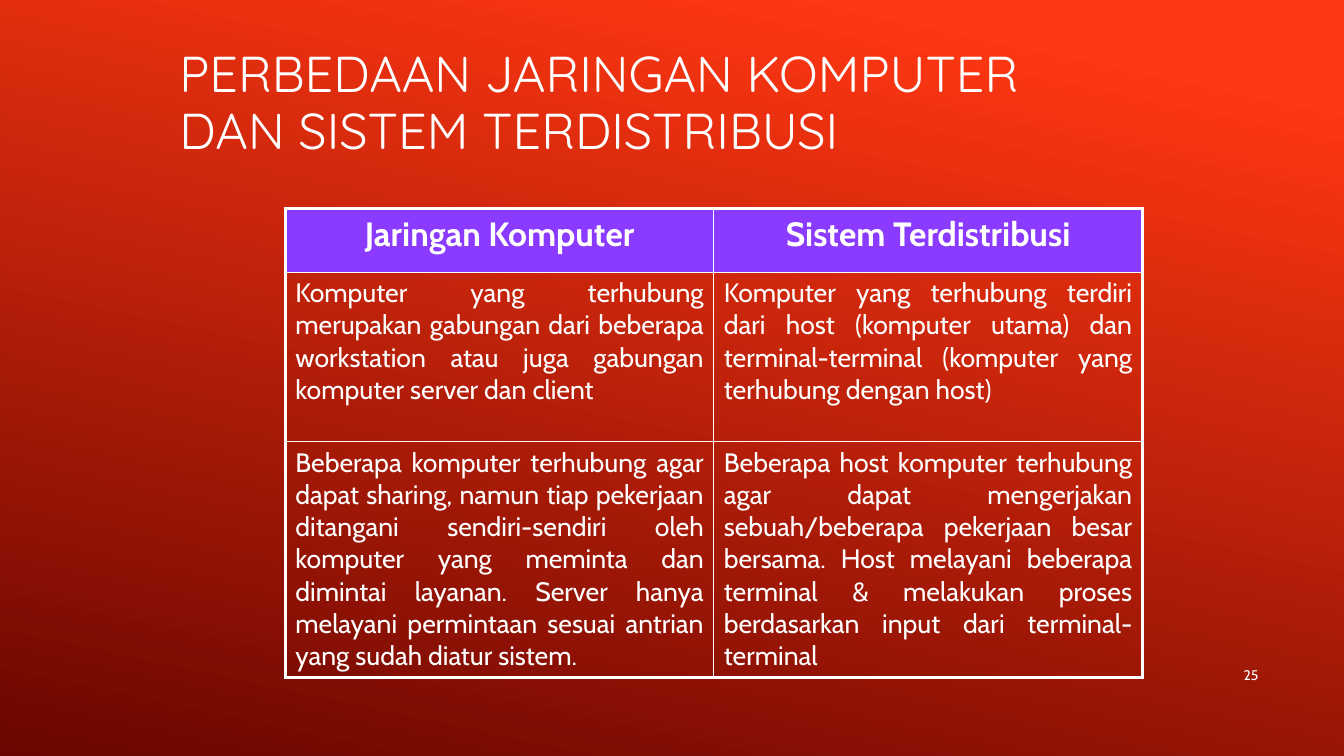
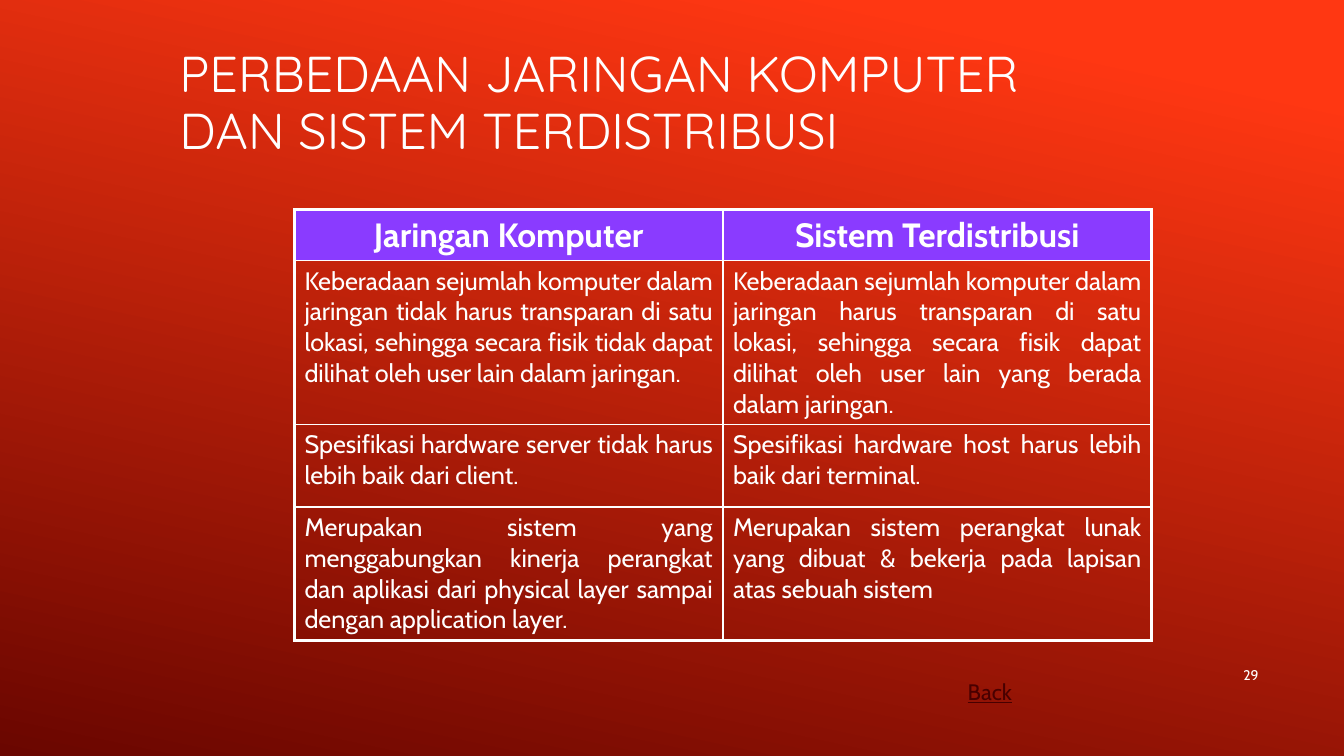
import pptx
import pptx.dml.color
import pptx.enum.text
import pptx.oxml.ns
import pptx.util
from lxml import etree

Inches, Pt = pptx.util.Inches, pptx.util.Pt
RGB = pptx.dml.color.RGBColor
ALIGN = pptx.enum.text.PP_ALIGN
ANCHOR = pptx.enum.text.MSO_ANCHOR
qn = pptx.oxml.ns.qn

WHITE = RGB(0xFF, 0xFF, 0xFF)
VIOLET = RGB(0x8A, 0x3B, 0xFF)
BRIGHT_RED = RGB(0xFF, 0x37, 0x12)
DARK_RED = RGB(0x6A, 0x06, 0x00)
LINK_RED = RGB(0x48, 0x00, 0x00)
TITLE_FONT, BODY_FONT = "Quicksand", "Cabin"
THICK, THIN = 2.25, 1

TITLE = ["PERBEDAAN JARINGAN KOMPUTER", "DAN SISTEM TERDISTRIBUSI"]
HEADINGS = ("Jaringan Komputer", "Sistem Terdistribusi")
COLUMN_WIDTH = 4.25

SLIDES = [
    {
        "number": "25", "at": (2.83, 2.07), "size": 19,
        "heights": (0.63, 1.68, 2.32), "thick_above": (),
        "rows": [
            ("Komputer yang terhubung merupakan gabungan dari beberapa "
             "workstation atau juga gabungan komputer server dan client",
             "Komputer yang terhubung terdiri dari host (komputer utama) dan "
             "terminal-terminal (komputer yang terhubung dengan host)"),
            ("Beberapa komputer terhubung agar dapat sharing, namun tiap "
             "pekerjaan ditangani sendiri-sendiri oleh komputer yang meminta "
             "dan dimintai layanan. Server hanya melayani permintaan sesuai "
             "antrian yang sudah diatur sistem.",
             "Beberapa host komputer terhubung agar dapat mengerjakan "
             "sebuah/beberapa pekerjaan besar bersama. Host melayani beberapa "
             "terminal & melakukan proses berdasarkan input dari "
             "terminal-terminal"),
        ],
    },
    {
        "number": "29", "at": (2.92, 2.08), "size": 18,
        "heights": (0.5, 1.6, 0.82, 1.3), "thick_above": (3,),
        "rows": [
            ("Keberadaan sejumlah komputer dalam jaringan tidak harus "
             "transparan di satu lokasi, sehingga secara fisik tidak dapat "
             "dilihat oleh user lain dalam jaringan.",
             "Keberadaan sejumlah komputer dalam jaringan harus transparan di "
             "satu lokasi, sehingga secara fisik dapat dilihat oleh user lain "
             "yang berada dalam jaringan."),
            ("Spesifikasi hardware server tidak harus lebih baik dari client.",
             "Spesifikasi hardware host harus lebih baik dari terminal."),
            ("Merupakan sistem yang menggabungkan kinerja perangkat dan "
             "aplikasi dari physical layer sampai dengan application layer.",
             "Merupakan sistem perangkat lunak yang dibuat & bekerja pada "
             "lapisan atas sebuah sistem"),
        ],
        "back": "Back",
    },
]


def place(shape, left, top, width, height):
    shape.left, shape.top = Inches(left), Inches(top)
    shape.width, shape.height = Inches(width), Inches(height)


def add_run(p, text, size, font=BODY_FONT, color=WHITE, bold=False):
    r = p.add_run()
    r.text = text
    r.font.size, r.font.name, r.font.bold = Pt(size), font, bold
    r.font.color.rgb = color
    return r


def set_background(master):
    fill = master.background.fill
    fill.gradient()
    fill.gradient_angle = 360 - 102
    stops = ((0.1, BRIGHT_RED), (1, DARK_RED))
    for stop, (position, color) in zip(fill.gradient_stops, stops):
        stop.position, stop.color.rgb = position, color


def add_title(s):
    title = s.shapes.title
    place(title, 1.68, 0.23, 11.36, 1.6)
    tf = title.text_frame
    tf.auto_size = pptx.enum.text.MSO_AUTO_SIZE.NONE
    tf.vertical_anchor = ANCHOR.MIDDLE
    p = tf.paragraphs[0]
    p.alignment, p.line_spacing = ALIGN.LEFT, 0.95
    for i, line in enumerate(TITLE):
        if i:
            p.add_line_break()
        add_run(p, line, 36, TITLE_FONT)


def add_text(s, text, at, size, align, color=WHITE):
    tf = s.shapes.add_textbox(*map(Inches, at)).text_frame
    tf.word_wrap = True
    tf.vertical_anchor = ANCHOR.BOTTOM
    p = tf.paragraphs[0]
    p.alignment = align
    return add_run(p, text, size, color=color)


def set_borders(cell, widths):
    """Draw white borders; widths are points for left, right, top, bottom."""
    tcPr = cell._tc.get_or_add_tcPr()
    for side, width in zip("LRTB", widths):
        ln = etree.SubElement(tcPr, qn(f"a:ln{side}"), w=str(Pt(width)))
        fill = etree.SubElement(ln, qn("a:solidFill"))
        etree.SubElement(fill, qn("a:srgbClr"), val=str(WHITE))


def add_comparison(s, data):
    rows = [HEADINGS] + data["rows"]
    n_rows, n_cols = len(rows), len(HEADINGS)
    size = (n_cols * COLUMN_WIDTH, sum(data["heights"]))
    frame = s.shapes.add_table(n_rows, n_cols, *map(Inches, data["at"] + size))
    table = frame.table
    table.first_row = table.horz_banding = False
    for column in table.columns:
        column.width = Inches(COLUMN_WIDTH)
    thick_lines = {0, n_rows, *data["thick_above"]}
    for i, texts in enumerate(rows):
        table.rows[i].height = Inches(data["heights"][i])
        top, bottom = (THICK if k in thick_lines else THIN for k in (i, i + 1))
        for j, text in enumerate(texts):
            cell = table.cell(i, j)
            left, right = (THICK if k in (0, n_cols) else THIN
                           for k in (j, j + 1))
            set_borders(cell, (left, right, top, bottom))
            p = cell.text_frame.paragraphs[0]
            if i == 0:
                cell.fill.solid()
                cell.fill.fore_color.rgb = VIOLET
                p.alignment = ALIGN.CENTER
                add_run(p, text, 24, bold=True)
            else:
                cell.fill.background()
                p.alignment = ALIGN.JUSTIFY
                add_run(p, text, data["size"])


def main():
    prs = pptx.Presentation()
    prs.slide_width, prs.slide_height = Inches(13.33), Inches(7.5)
    set_background(prs.slide_master)
    for data in SLIDES:
        s = prs.slides.add_slide(prs.slide_layouts[5])
        add_title(s)
        add_comparison(s, data)
        add_text(s, data["number"], (11.33, 6.1, 1.25, 0.73), 10, ALIGN.RIGHT)
        if "back" in data:
            r = add_text(s, data["back"], (9.5, 6.64, 1, 0.4), 16,
                         ALIGN.LEFT, LINK_RED)
            r.font.underline = True
    prs.save("out.pptx")


if __name__ == "__main__":
    main()
